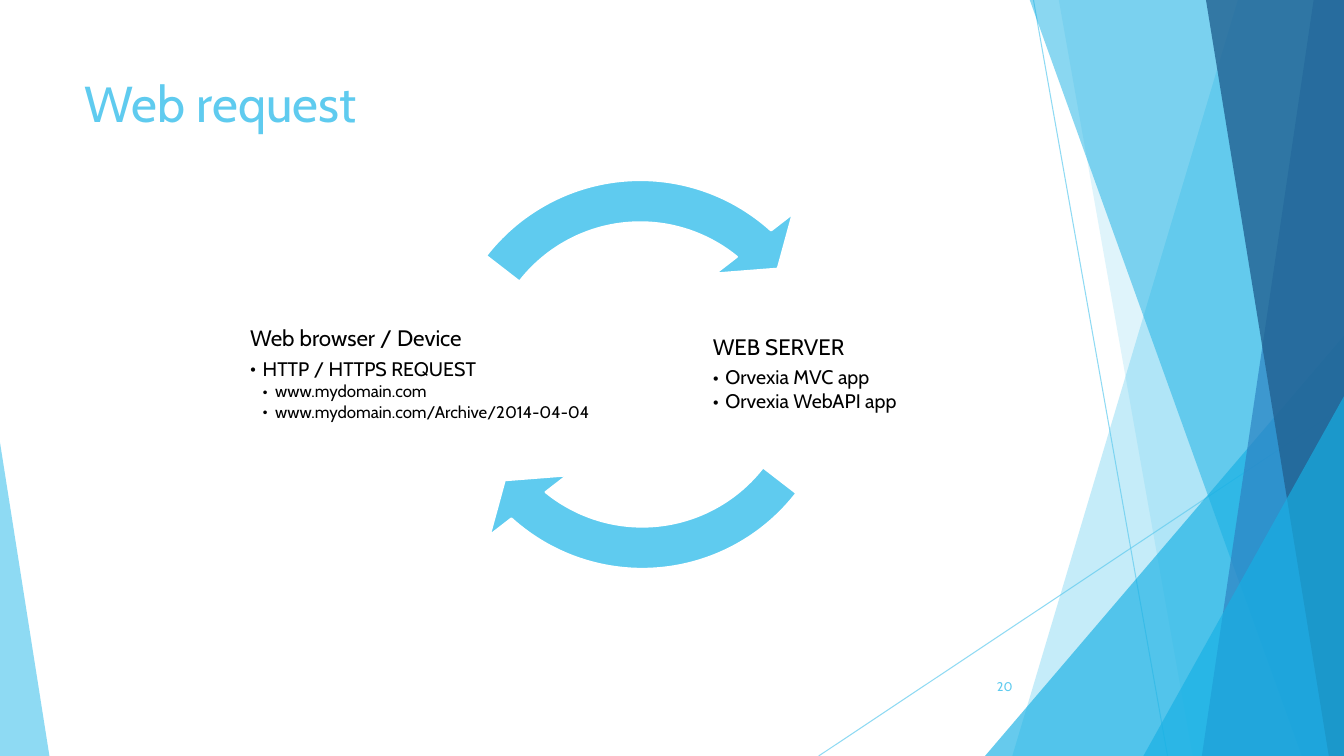
from lxml import etree
from pptx import Presentation
from pptx.dml.color import RGBColor
from pptx.enum.shapes import MSO_CONNECTOR, MSO_SHAPE
from pptx.enum.text import MSO_ANCHOR, PP_ALIGN
from pptx.oxml.ns import qn
from pptx.util import Inches, Pt

STRAIGHT = MSO_CONNECTOR.STRAIGHT
TRIANGLE, ARROW = MSO_SHAPE.ISOSCELES_TRIANGLE, MSO_SHAPE.CIRCULAR_ARROW
TOP, MIDDLE = MSO_ANCHOR.TOP, MSO_ANCHOR.MIDDLE
LEFT, RIGHT = PP_ALIGN.LEFT, PP_ALIGN.RIGHT
FONT = "Cabin"
COLORS = {"sky": "5FCBEF", "cyan": "17B0E4", "blue": "2E83C3",
          "navy": "226292", "white": "FFFFFF", "black": "000000"}
W, H = 13.33, 7.5


def set_color(fill, name, alpha=100):
    fill.solid()
    fill.fore_color.rgb = RGBColor.from_string(COLORS[name])
    if alpha < 100:
        clr = fill._xPr.find(qn("a:solidFill"))[0]
        etree.SubElement(clr, qn("a:alpha")).set("val", str(alpha * 1000))


def style(p, size, color, align=LEFT):
    p.font.name, p.font.size = FONT, Pt(size)
    p.font.color.rgb = RGBColor.from_string(COLORS[color])
    p.alignment = align


prs = Presentation()
prs.slide_width, prs.slide_height = Inches(W), Inches(H)
s = prs.slides.add_slide(prs.slide_layouts[5])

# Thin background lines
for x1, y1, x2, y2 in [(10.25, 0, 11.58, H), (W, 4.03, 8.12, H)]:
    line = s.shapes.add_connector(STRAIGHT, Inches(x1), Inches(y1), Inches(x2), Inches(y2))
    line.line.width = Pt(0.75)
    set_color(line.line.fill, "sky", 70)
    etree.SubElement(line._element.spPr, qn("a:effectLst"))

# Background facets: (top x, bottom x) reaching the right edge,
# or a triangle as (left, top, width, height, apex)
facets = [
    ((12.28, 10.04), "sky", 36),
    ((10.5, 11.83), "sky", 20),
    ((9.77, 3.33, 3.56, 4.17, 1), "cyan", 66),
    ((10.21, 12.91), "cyan", 50),
    ((13.03, 11.92), "blue", 70),
    ((11.96, 13.18), "navy", 80),
    ((11.34, 3.93, 1.99, 3.57, 1), "cyan", 66),
    ((0, 4.39, 0.49, 3.11, 0), "sky", 70),
]
for geometry, color, alpha in facets:
    if len(geometry) == 2:
        top_x, bottom_x = geometry
        fb = s.shapes.build_freeform(Inches(top_x), Inches(-0.01))
        fb.add_line_segments([(Inches(x), Inches(y)) for x, y in
                              [(W, -0.01), (W, H), (bottom_x, H)]], close=True)
        sp = fb.convert_to_shape()
    else:
        sp = s.shapes.add_shape(TRIANGLE, *map(Inches, geometry[:4]))
        sp.adjustments[0] = geometry[4]
    set_color(sp.fill, color, alpha)
    sp.line.fill.background()
    sp.shadow.inherit = False

# Title, brought in front of the background
title = s.shapes.title
s.shapes._spTree.append(title._element)
title.left, title.top, title.width, title.height = map(Inches, (0.74, 0.67, 9.4, 1.44))
tf = title.text_frame
tf.text = "Web request"
tf.vertical_anchor = TOP
style(tf.paragraphs[0], 36, "sky")

# Cycle arrows, the second turned by 180 degrees (108 adjustment units)
for left, top, turn in [(4.16, 1.5, 0), (4.14, 1.51, 108)]:
    sp = s.shapes.add_shape(ARROW, Inches(left), Inches(top), Inches(4.42), Inches(4.42))
    for i, value in enumerate([0.095, 6.85, 78.53 + turn, 22.63 + turn, 0.11]):
        sp.adjustments[i] = value
    set_color(sp.fill, "sky")
    set_color(sp.line.fill, "white")
    sp.line.width = Pt(1.5)
    sp.shadow.inherit = False

# Cycle texts: (left, width, [(level, text)])
nodes = [
    (7.05, 2.15, [(0, "WEB SERVER"), (1, "Orvexia MVC app"), (1, "Orvexia WebAPI app")]),
    (2.46, 4.3, [(0, "Web browser / Device"), (1, "HTTP / HTTPS REQUEST"),
                 (2, "www.mydomain.com"), (2, "www.mydomain.com/Archive/2014-04-04")]),
]
for left, width, items in nodes:
    tf = s.shapes.add_textbox(Inches(left), Inches(2.64), Inches(width), Inches(2.15)).text_frame
    tf.word_wrap, tf.vertical_anchor = True, MIDDLE
    tf.margin_left = tf.margin_right = tf.margin_top = tf.margin_bottom = Inches(0.02)
    for i, (level, text) in enumerate(items):
        p = tf.add_paragraph() if i else tf.paragraphs[0]
        p.text, p.level = text, level
        size = 16 - 2 * level
        style(p, size, "black")
        p.line_spacing = 0.9
        p.space_after = Pt(size * (0.15 if level else 0.35))
        if level:
            pPr = p._p.get_or_add_pPr()
            pPr.set("marL", str(Inches(0.125 * level)))
            pPr.set("indent", str(Inches(-0.125)))
            bullet_font = etree.Element(qn("a:buFont"), typeface=FONT)
            pPr.find(qn("a:spcAft")).addnext(bullet_font)
            bullet_font.addnext(etree.Element(qn("a:buChar"), char="•"))

# Slide number
tf = s.shapes.add_textbox(Inches(9.39), Inches(6.61), Inches(0.75), Inches(0.4)).text_frame
tf.word_wrap, tf.vertical_anchor = True, MIDDLE
tf.text = "20"
style(tf.paragraphs[0], 9, "sky", RIGHT)

prs.save("out.pptx")
